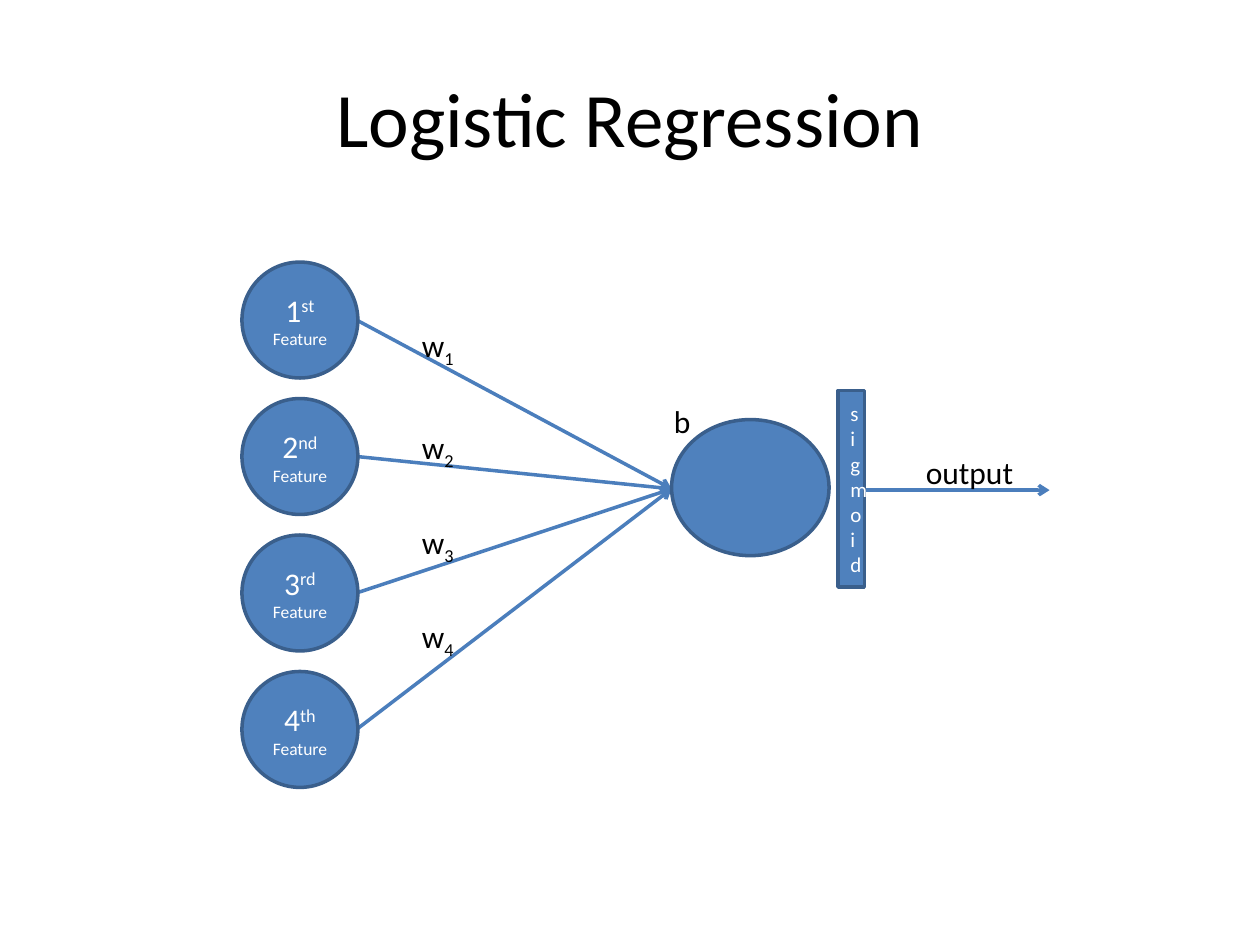
from lxml import etree
from pptx import Presentation
from pptx.dml.color import RGBColor
from pptx.enum.shapes import MSO_CONNECTOR, MSO_SHAPE
from pptx.enum.text import MSO_ANCHOR, PP_ALIGN
from pptx.oxml.ns import qn
from pptx.util import Inches, Pt

OVAL, RECTANGLE = MSO_SHAPE.OVAL, MSO_SHAPE.RECTANGLE
STRAIGHT = MSO_CONNECTOR.STRAIGHT
MIDDLE, TOP = MSO_ANCHOR.MIDDLE, MSO_ANCHOR.TOP
CENTER, LEFT = PP_ALIGN.CENTER, PP_ALIGN.LEFT

BLUE = RGBColor(0x4F, 0x81, 0xBD)
OUTLINE = RGBColor(0x3A, 0x5F, 0x8C)
ARROW = RGBColor(0x4B, 0x7E, 0xBC)
BLACK = RGBColor(0, 0, 0)
WHITE = RGBColor(0xFF, 0xFF, 0xFF)

prs = Presentation()
prs.slide_width, prs.slide_height = Inches(10), Inches(7.5)
slide = prs.slides.add_slide(prs.slide_layouts[6])
shapes = slide.shapes


def write(box, runs, color, align=LEFT, anchor=TOP):
    """Fill a box with runs of (text, size, baseline shift in percent)."""
    frame = box.text_frame
    frame.word_wrap = True
    frame.vertical_anchor = anchor
    paragraph = frame.paragraphs[0]
    paragraph.alignment = align
    for text, size, shift in runs:
        run = paragraph.add_run()
        run.text = text
        run.font.name = "Calibri"
        run.font.size = Pt(size)
        run.font.color.rgb = color
        if shift:
            run.font._element.set("baseline", str(shift * 1000))


def add_arrow(x1, y1, x2, y2):
    arrow = shapes.add_connector(
        STRAIGHT, Inches(x1), Inches(y1), Inches(x2), Inches(y2))
    arrow.line.color.rgb = ARROW
    arrow.line.width = Pt(2)
    etree.SubElement(arrow.line._get_or_add_ln(), qn("a:tailEnd"), type="arrow")
    etree.SubElement(arrow._element.spPr, qn("a:effectLst"))


# Title
title = shapes.add_textbox(Inches(0.5), Inches(0.3), Inches(9), Inches(1.25))
write(title, [("Logistic Regression", 44, 0)], BLACK, CENTER, MIDDLE)

# Nodes: four features, the summing neuron and the sigmoid bar
FEATURE_TOP, FEATURE_STEP, FEATURE_SIZE = 2.08, 1.083, 0.92
ordinals = ["st", "nd", "rd", "th"]
nodes = [
    (OVAL, 1.92, FEATURE_TOP + i * FEATURE_STEP, FEATURE_SIZE, FEATURE_SIZE,
     [(str(i + 1), 18, 0), (ordinal + " ", 18, 30), ("Feature", 10, 0)])
    for i, ordinal in enumerate(ordinals)
]
nodes.append((OVAL, 5.33, 3.33, 1.25, 1.08, []))
nodes.append((RECTANGLE, 6.65, 3.1, 0.21, 1.56, [("sigmoid", 12, 0)]))

# Weighted inputs and the output
for i in range(len(ordinals)):
    add_arrow(2.83, FEATURE_TOP + FEATURE_SIZE / 2 + i * FEATURE_STEP, 5.33, 3.88)
add_arrow(6.85, 3.89, 8.33, 3.89)

for kind, left, top, width, height, runs in nodes:
    node = shapes.add_shape(
        kind, Inches(left), Inches(top), Inches(width), Inches(height))
    node.shadow.inherit = False
    node.fill.solid()
    node.fill.fore_color.rgb = BLUE
    node.line.color.rgb = OUTLINE
    node.line.width = Pt(2)
    write(node, runs, WHITE, CENTER, MIDDLE)

# Labels: weights, bias and output
labels = [
    (3.25, top, 0.5, [("w", 18, 0), (str(number), 18, -25)])
    for number, top in enumerate([2.54, 3.35, 4.1, 4.85], start=1)
]
labels.append((5.25, 3.14, 0.33, [("b", 18, 0)]))
labels.append((7.25, 3.55, 1, [("output", 18, 0)]))
for left, top, width, runs in labels:
    label = shapes.add_textbox(
        Inches(left), Inches(top), Inches(width), Inches(0.4))
    write(label, runs, BLACK)

prs.save("out.pptx")
